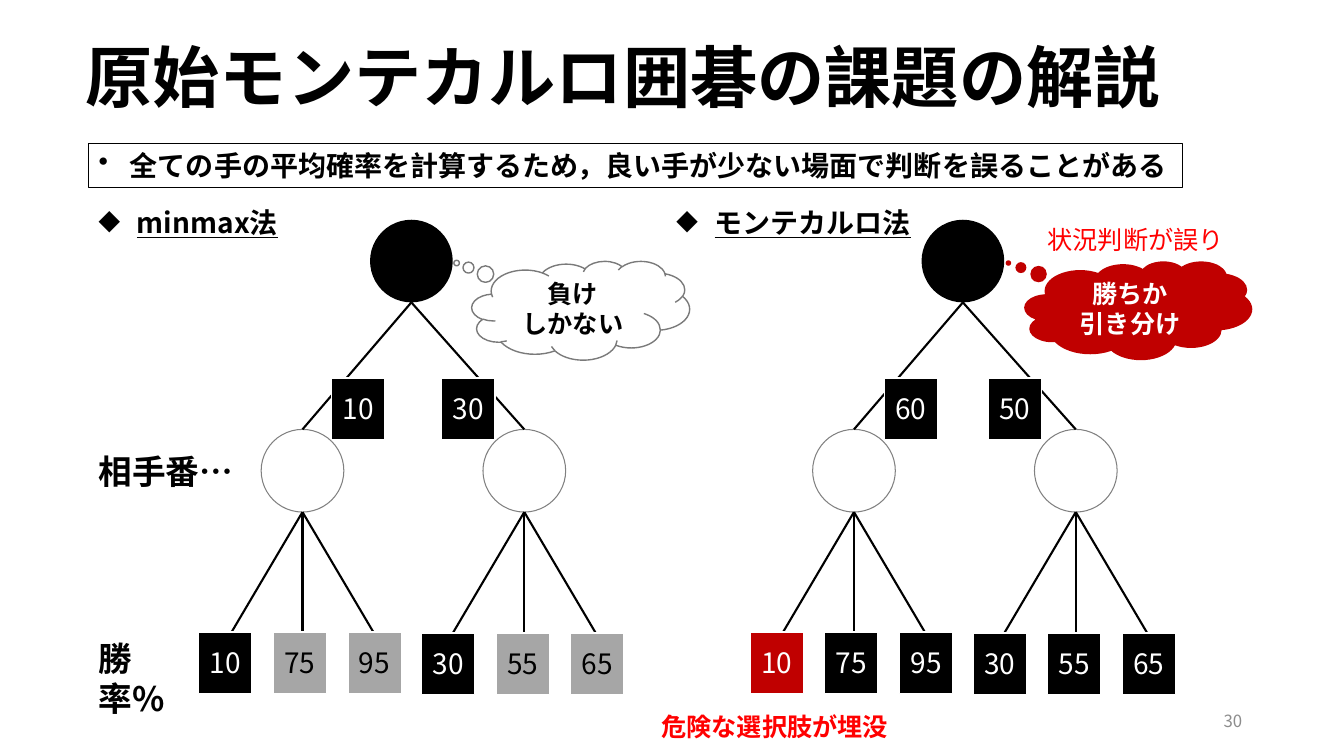
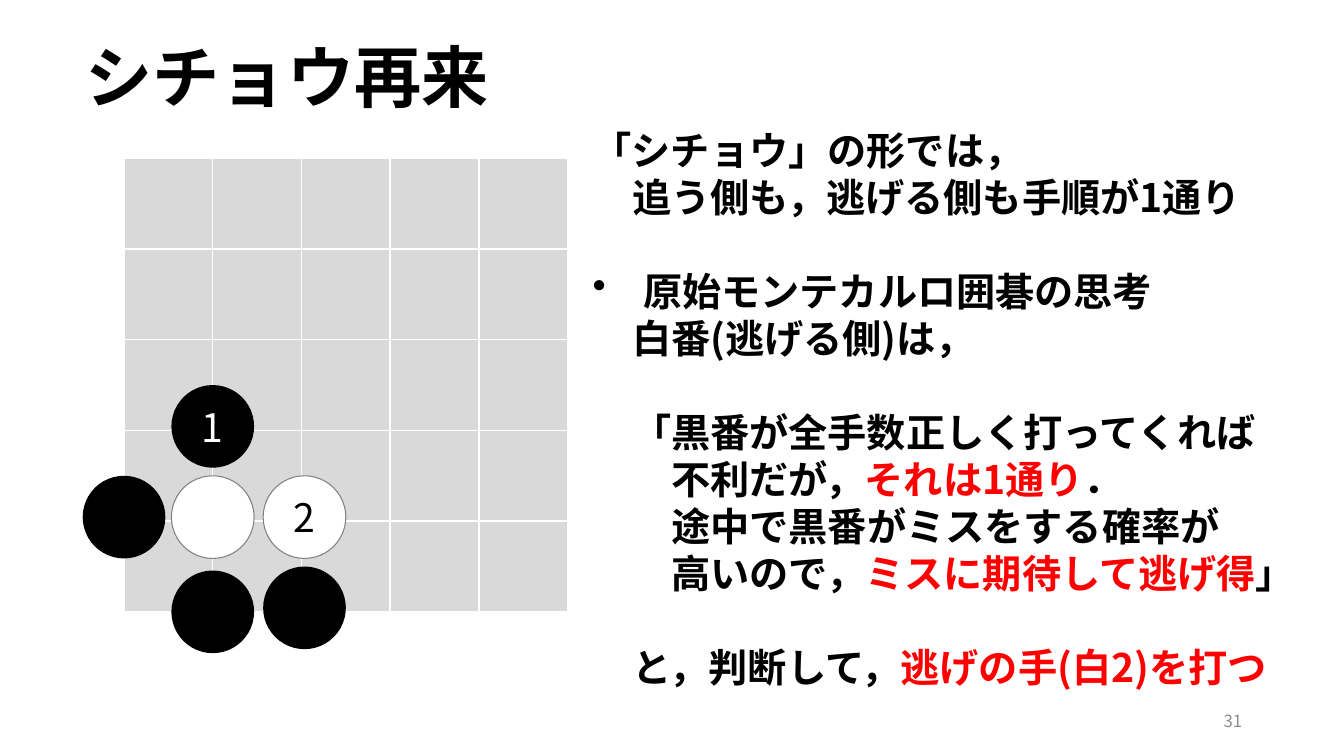
from lxml import etree
from pptx import Presentation
from pptx.dml.color import RGBColor
from pptx.enum.shapes import MSO_CONNECTOR, MSO_SHAPE
from pptx.enum.text import MSO_ANCHOR, PP_ALIGN
from pptx.oxml.ns import qn
from pptx.util import Inches, Pt

FONT = "Noto Sans CJK JP"
COLORS = {
    "black": "000000", "white": "FFFFFF", "red": "FF0000", "dark": "C00000",
    "gray": "A6A6A6", "board": "D9D9D9", "rim": "808080", "cloud": "7A7A7A",
    "page": "8C8C8C",
}
STONE = 0.82
BOX = (0.53, 0.61)


def draw(slide, kind, x, y, w, h, fill=None, line=None, width=1):
    """Add a preset shape, or a text box when kind is None."""
    box = [Inches(n) for n in (x, y, w, h)]
    if kind is None:
        shape = slide.shapes.add_textbox(*box)
        shape.text_frame.word_wrap = True
        return shape
    shape = slide.shapes.add_shape(kind, *box)
    shape.shadow.inherit = False
    if fill:
        shape.fill.solid()
        shape.fill.fore_color.rgb = RGBColor.from_string(COLORS[fill])
    else:
        shape.fill.background()
    if line:
        shape.line.color.rgb = RGBColor.from_string(COLORS[line])
        shape.line.width = Pt(width)
    else:
        shape.line.fill.background()
    return shape


def write(shape, lines, size, color="black", bold=False, align=PP_ALIGN.LEFT,
          bullet=None, hang=0, under=None):
    """Write one paragraph per line; text between bars turns red."""
    frame = shape.text_frame
    for i, line in enumerate(lines):
        para = frame.add_paragraph() if i else frame.paragraphs[0]
        para.alignment = align
        if bullet:
            props = para._p.get_or_add_pPr()
            props.set("marL", str(Inches(hang)))
            props.set("indent", str(-Inches(hang)))
            etree.SubElement(props, qn("a:buChar")).set("char", bullet)
        if len(lines) > 1:
            para.line_spacing = Pt(size * 1.2)
        for j, part in enumerate(line.split("|")):
            if not part:
                continue
            run = para.add_run()
            run.text = part
            font = run.font
            font.size, font.bold, font.underline = Pt(size), bold, under
            font.name = FONT
            tone = "red" if j % 2 else color
            font.color.rgb = RGBColor.from_string(COLORS[tone])
            etree.SubElement(run._r.get_or_add_rPr(), qn("a:ea")).set("typeface", FONT)
    return frame


deck = Presentation()
deck.slide_width, deck.slide_height = Inches(13.33), Inches(7.5)

slides = []
for page, title in ((30, "原始モンテカルロ囲碁の課題の解説"), (31, "シチョウ再来")):
    slide = deck.slides.add_slide(deck.slide_layouts[6])
    frame = write(draw(slide, None, 9.42, 6.95, 3, 0.4), [str(page)], 12, "page",
                  align=PP_ALIGN.RIGHT)
    frame.vertical_anchor = MSO_ANCHOR.MIDDLE
    frame = write(draw(slide, None, 0.75, 0.25, 11.5, 0.96), [title], 48, bold=True)
    frame.vertical_anchor = MSO_ANCHOR.BOTTOM
    frame.paragraphs[0].line_spacing = 0.9
    slides.append(slide)
trees, ladder = slides

# Search trees
banner = draw(trees, MSO_SHAPE.RECTANGLE, 0.88, 1.42, 10.85, 0.44, None, "black", 0.75)
write(banner, ["全ての手の平均確率を計算するため，良い手が少ない場面で判断を誤ることがある"],
      20, bold=True, bullet="•", hang=0.31)

for x, name in ((0.88, "minmax法"), (6.61, "モンテカルロ法")):
    write(draw(trees, None, x, 1.99, 2.56, 0.44), [name], 20, bold=True,
          bullet="◆", hang=0.38, under=True)

for x, y, w, text, size, color, bold in (
    (0.88, 4.42, 1.7, "相手番…", 24, "black", True),
    (0.88, 6.28, 1, "勝率%", 24, "black", True),
    (10.29, 2.18, 2.2, "状況判断が誤り", 18, "red", False),
    (6.46, 7.01, 2.7, "危険な選択肢が埋没", 18, "red", True),
):
    write(draw(trees, None, x, y, w, 0.45), [text], size, color, bold)

rates = ((10, 75, 95), (30, 55, 65))
for left, mids, picks, fills in (
    (0, ((3.29, 10), (4.38, 30)), None, ("black", "gray", "gray") * 2),
    (5.47, ((8.77, 60), (9.8, 50)), None, ("dark",) + ("black",) * 5),
):
    root = left + 4.08
    draw(trees, MSO_SHAPE.OVAL, root - STONE / 2, 2.18, STONE, STONE, "black")
    edges = []
    labels = [(x, 3.75, rate, "black") for x, rate in mids]
    for i, row in enumerate(rates):
        node = left + 3 + i * 2.2
        draw(trees, MSO_SHAPE.OVAL, node - STONE / 2, 4.26, STONE, STONE,
             "white", "rim", 0.75)
        edges.append((root, 3, node, 4.26))
        for j, rate in enumerate(row):
            edges.append((node, 5.08, node + (j - 1) * 0.75, 6.35))
            labels.append((left + 1.97 + i * 2.21 + j * 0.74, 6.27 + i * 0.01,
                           rate, fills[i * 3 + j]))
    for ends in edges:
        edge = trees.shapes.add_connector(MSO_CONNECTOR.STRAIGHT,
                                          *[Inches(n) for n in ends])
        edge.line.color.rgb = RGBColor.from_string(COLORS["black"])
        edge.line.width = Pt(1.5)
        etree.SubElement(edge._element.spPr, qn("a:effectLst"))
    for x, y, rate, fill in labels:
        box = draw(trees, MSO_SHAPE.RECTANGLE, x, y, *BOX, fill, "white")
        write(box, [str(rate)], 20, "black" if fill == "gray" else "white",
              align=PP_ALIGN.CENTER)

for x, w, fill, line, color, lines in (
    (4.68, 2.16, "white", "cloud", "black", ["負け", "しかない"]),
    (10.16, 2.26, "dark", None, "white", ["勝ちか", "引き分け"]),
):
    cloud = draw(trees, MSO_SHAPE.CLOUD_CALLOUT, x, 2.59, w, 0.98, fill, line)
    cloud.adjustments[0], cloud.adjustments[1] = -0.57, -0.48
    write(cloud, lines, 18, color, True, PP_ALIGN.CENTER)

# Ladder on the board
for row in range(5):
    for col in range(5):
        draw(ladder, MSO_SHAPE.RECTANGLE, 1.23 + col * 0.88, 1.57 + row * 0.9,
             0.88, 0.9, "board", "white")

for x, y, fill, mark in (
    (0.82, 4.72, "black", ""), (1.7, 5.66, "black", ""), (2.61, 5.62, "black", ""),
    (1.7, 4.72, "white", ""), (1.7, 3.82, "black", "1"), (2.61, 4.72, "white", "2"),
):
    dark = fill == "black"
    stone = draw(ladder, MSO_SHAPE.OVAL, x, y, STONE, STONE, fill,
                 None if dark else "rim", 0.75)
    write(stone, [mark], 28, "white" if dark else "black", align=PP_ALIGN.CENTER)

# Indent in characters, gap above, text
story = (
    (0, False, "「シチョウ」の形では，"),
    (1, False, "追う側も，逃げる側も手順が1通り"),
    (0, True, "原始モンテカルロ囲碁の思考"),
    (1, False, "白番(逃げる側)は，"),
    (1, True, "「黒番が全手数正しく打ってくれば"),
    (2, False, "不利だが，|それは1通り|．"),
    (2, False, "途中で黒番がミスをする確率が"),
    (2, False, "高いので，|ミスに期待して逃げ得|」"),
    (1, True, "と，判断して，|逃げの手(白2)を打つ"),
)
frame = write(draw(ladder, None, 5.78, 1.2, 7.42, 5.76),
              [text for _, _, text in story], 28, bold=True)
for i, (para, (level, gap, _)) in enumerate(zip(frame.paragraphs, story)):
    props = para._p.get_or_add_pPr()
    props.set("marL", str(Inches(level * 0.39)))
    if i == 2:
        props.set("marL", str(Inches(0.5)))
        props.set("indent", str(-Inches(0.5)))
        etree.SubElement(props, qn("a:buChar")).set("char", "•")
    if gap:
        para.space_before = Pt(33.6)

deck.save("out.pptx")
